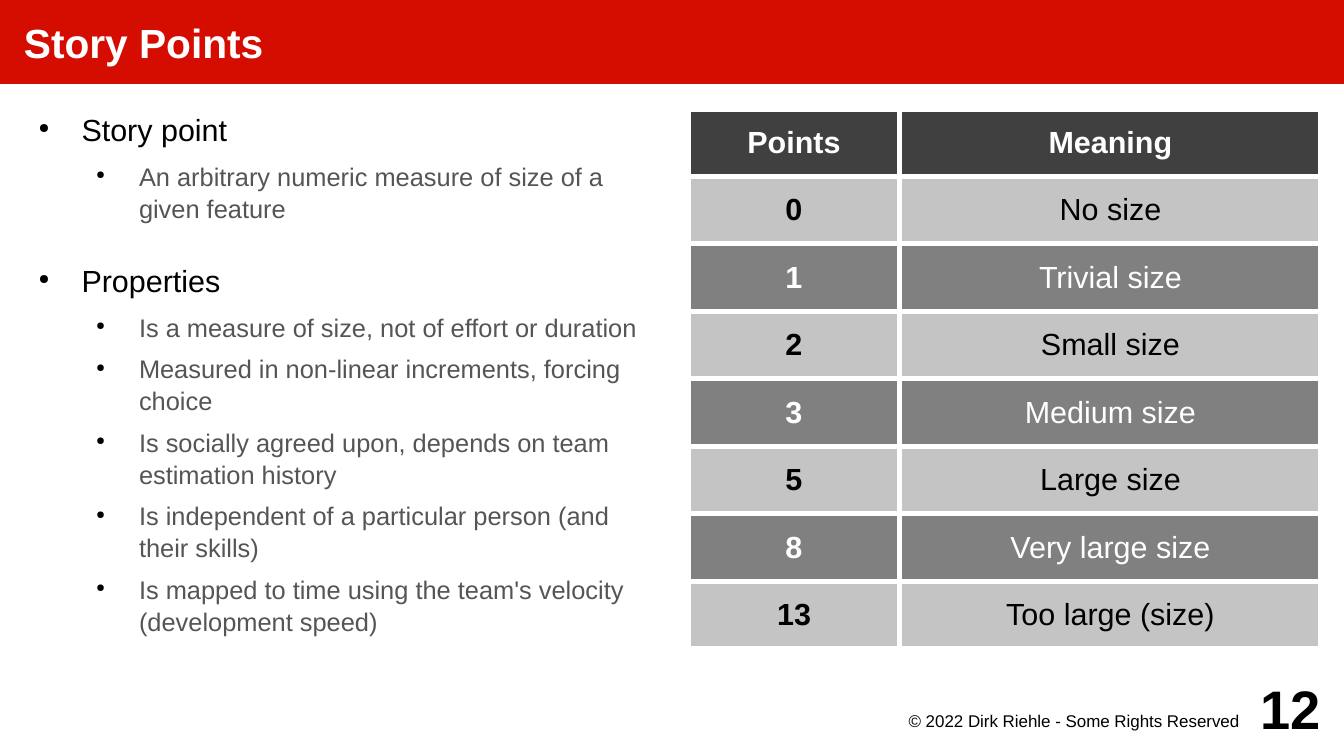
from lxml.etree import SubElement
from pptx import Presentation
from pptx.dml.color import RGBColor
from pptx.enum.shapes import MSO_SHAPE
from pptx.enum.text import MSO_ANCHOR, PP_ALIGN
from pptx.oxml.ns import qn
from pptx.util import Pt

SCALE = 914400 / 122
COLORS = {
    "banner": "D50D01", "white": "FFFFFF", "black": "000000", "detail": "555555",
    "header": "404040", "light": "C4C4C4", "medium": "808080",
}


def px(pixels):
    """Turn pixels into EMU."""
    return round(pixels * SCALE)


def style(paragraph, size, color, bold=False, alignment=PP_ALIGN.LEFT):
    """Align a paragraph and format its runs."""
    paragraph.alignment = alignment
    for run in paragraph.runs:
        run.font.name = "Arial"
        run.font.size = Pt(size)
        run.font.bold = bold
        run.font.color.rgb = RGBColor.from_string(COLORS[color])


presentation = Presentation()
presentation.slide_width = px(1344)
presentation.slide_height = px(756)
slide = presentation.slides.add_slide(presentation.slide_layouts[6])

# Title banner
banner = slide.shapes.add_shape(MSO_SHAPE.RECTANGLE, 0, 0, px(1344), px(84))
banner.shadow.inherit = False
banner.fill.solid()
banner.fill.fore_color.rgb = RGBColor.from_string(COLORS["banner"])
banner.line.fill.background()
title_frame = banner.text_frame
title_frame.margin_left = px(24)
title_frame.margin_top = title_frame.margin_right = title_frame.margin_bottom = 0
title_frame.vertical_anchor = MSO_ANCHOR.MIDDLE
title_frame.text = "Story Points"
style(title_frame.paragraphs[0], 24, "white", bold=True)

# Bulleted text: level, space before in points, text
bullets = [
    (0, 4.2, "Story point"),
    (1, 2.8, "An arbitrary numeric measure of size of a given feature"),
    (0, 19, "Properties"),
    (1, 2.8, "Is a measure of size, not of effort or duration"),
    (1, 2.8, "Measured in non-linear increments, forcing choice"),
    (1, 2.8, "Is socially agreed upon, depends on team estimation history"),
    (1, 2.8, "Is independent of a particular person (and their skills)"),
    (1, 2.8, "Is mapped to time using the team's velocity (development speed)"),
]
levels = [(18, "black", 4.2), (15, "detail", 2.8)]
body_frame = slide.shapes.add_textbox(px(24), px(109), px(633), px(553)).text_frame
body_frame.word_wrap = True
body_frame.margin_left = body_frame.margin_top = 0
body_frame.margin_right = body_frame.margin_bottom = 0
body_frame.text = "\n".join(text for _, _, text in bullets)
for paragraph, (level, space_before, _) in zip(body_frame.paragraphs, bullets):
    size, color, space_after = levels[level]
    style(paragraph, size, color)
    paragraph.level = level
    paragraph.line_spacing = 1.05
    paragraph.space_before = Pt(space_before)
    paragraph.space_after = Pt(space_after)
    properties = paragraph._p.get_or_add_pPr()
    properties.set("marL", str(px(57.5 * (level + 1))))
    properties.set("indent", str(px(-43)))
    bullet_color = SubElement(properties, qn("a:buClr"))
    SubElement(bullet_color, qn("a:srgbClr"), val=COLORS["black"])
    SubElement(properties, qn("a:buSzPct"), val="45000")
    SubElement(properties, qn("a:buChar"), char="●")

# Table of point values
rows = [
    ("Points", "Meaning"), ("0", "No size"), ("1", "Trivial size"),
    ("2", "Small size"), ("3", "Medium size"), ("5", "Large size"),
    ("8", "Very large size"), ("13", "Too large (size)"),
]
table = slide.shapes.add_table(
    len(rows), 2, px(688), px(109), px(633), px(540)).table
table.columns[0].width = px(212)
table.columns[1].width = px(421)
for row_index, row in enumerate(rows):
    if row_index == 0:
        fill, color = "header", "white"
    elif row_index % 2:
        fill, color = "light", "black"
    else:
        fill, color = "medium", "white"
    for column_index, text in enumerate(row):
        cell = table.cell(row_index, column_index)
        cell.text = text
        cell.vertical_anchor = MSO_ANCHOR.MIDDLE
        cell.margin_left = cell.margin_right = px(10)
        cell.margin_top = cell.margin_bottom = px(6)
        bold = row_index == 0 or column_index == 0
        style(cell.text_frame.paragraphs[0], 18, color, bold, PP_ALIGN.CENTER)
        for side in ("a:lnL", "a:lnR", "a:lnT", "a:lnB"):
            border = SubElement(cell._tc.get_or_add_tcPr(), qn(side), w=str(Pt(3.4)))
            border_fill = SubElement(border, qn("a:solidFill"))
            SubElement(border_fill, qn("a:srgbClr"), val=COLORS["white"])
        cell.fill.solid()
        cell.fill.fore_color.rgb = RGBColor.from_string(COLORS[fill])

# Footer: box, right and top margins, anchor, text, size, bold
footers = [
    ((865, 709, 384, 37), 10, 2, MSO_ANCHOR.TOP,
     "© 2022 Dirk Riehle - Some Rights Reserved", 10, False),
    ((1225, 672, 96, 72), 0, 0, MSO_ANCHOR.MIDDLE, "12", 32, True),
]
for box, right, top, anchor, text, size, bold in footers:
    footer_frame = slide.shapes.add_textbox(*map(px, box)).text_frame
    footer_frame.word_wrap = True
    footer_frame.margin_left = footer_frame.margin_bottom = 0
    footer_frame.margin_right = px(right)
    footer_frame.margin_top = px(top)
    footer_frame.vertical_anchor = anchor
    footer_frame.text = text
    style(footer_frame.paragraphs[0], size, "black", bold, PP_ALIGN.RIGHT)

presentation.save("out.pptx")
